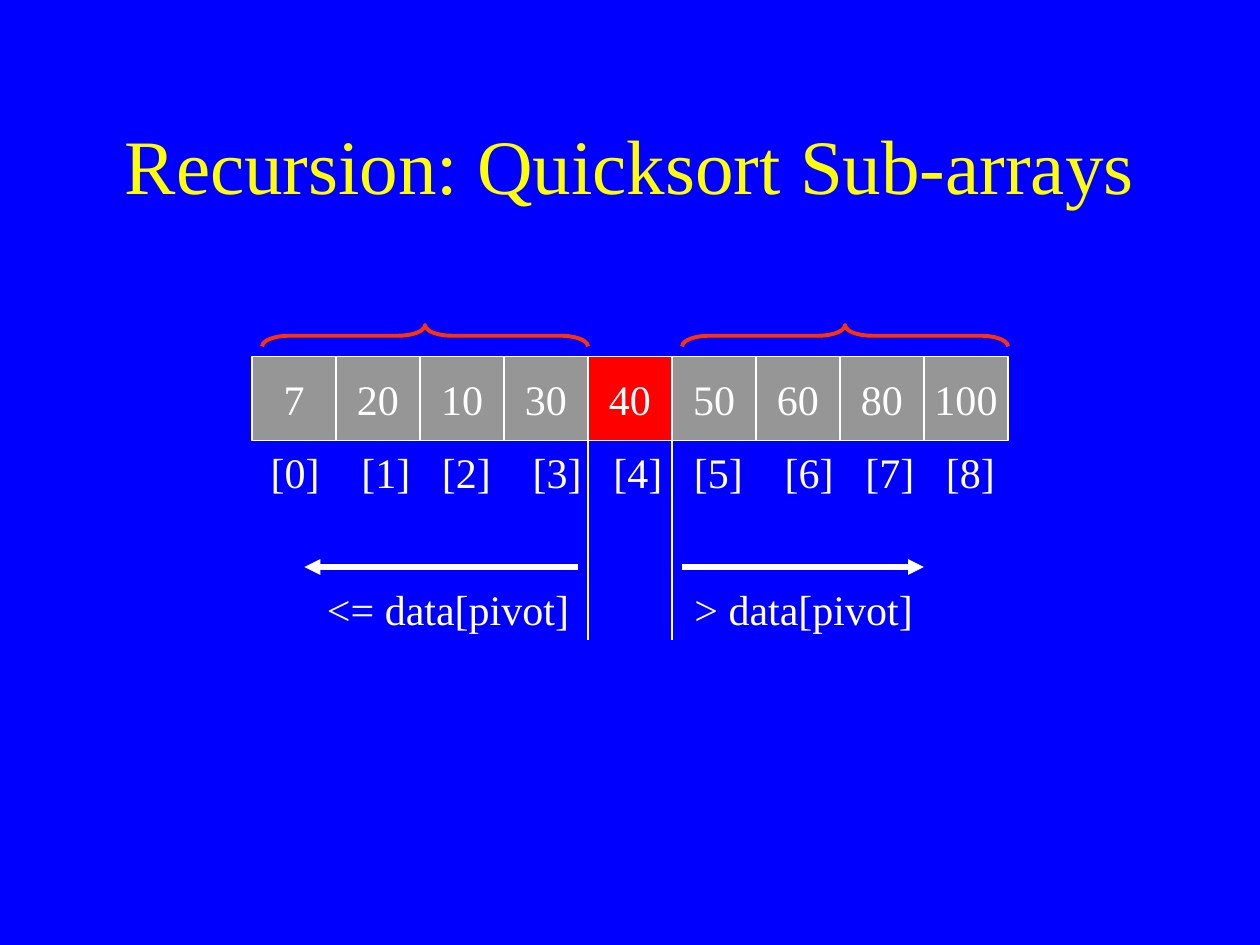
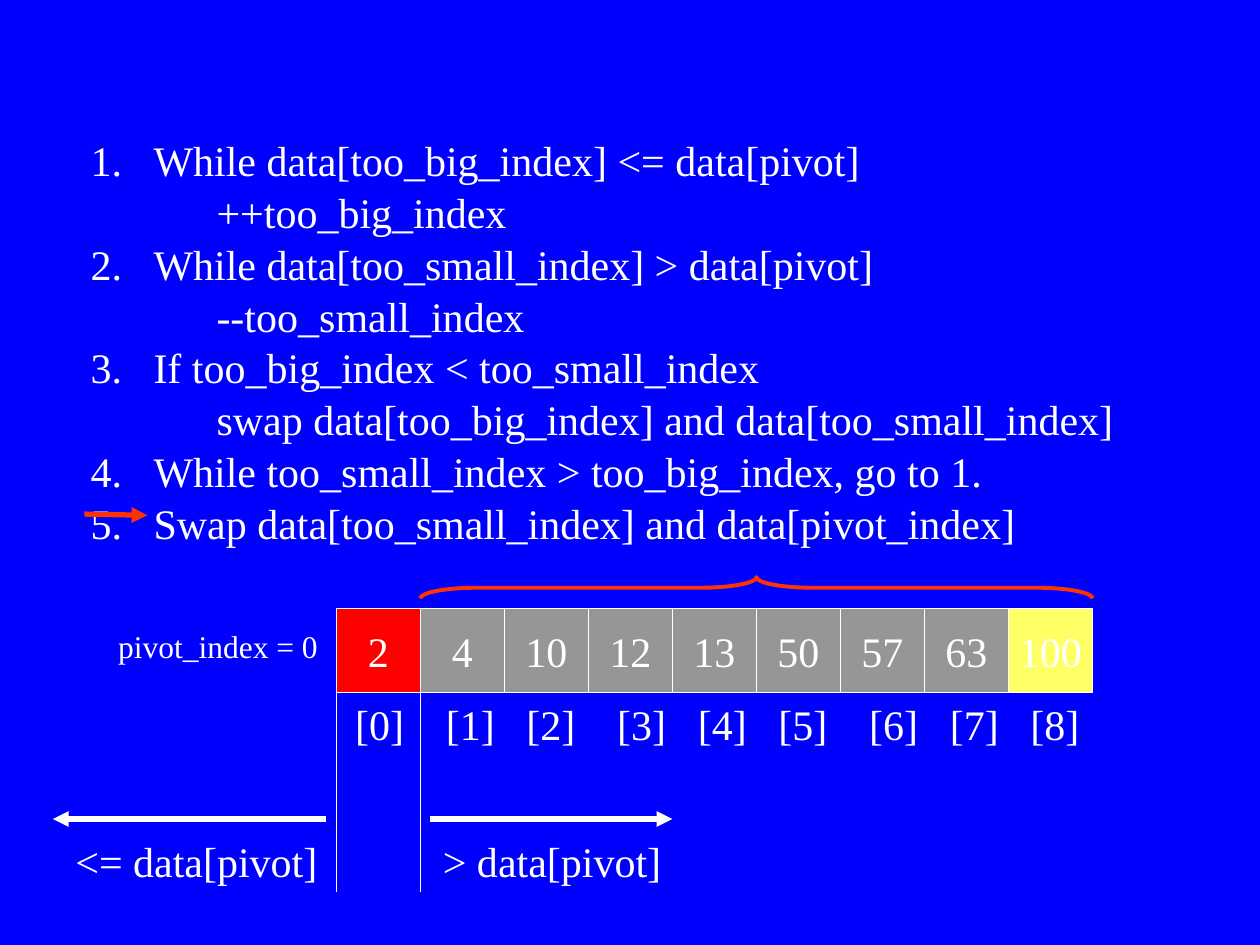
from itertools import accumulate

from pptx import Presentation
from pptx.dml.color import RGBColor
from pptx.enum.shapes import MSO_CONNECTOR as Connector, MSO_SHAPE as Shape
from pptx.enum.text import MSO_ANCHOR as Anchor, PP_ALIGN as Align
from pptx.oxml.ns import qn
from pptx.util import Inches, Pt
from lxml.etree import SubElement

# Content
TITLE = "Recursion: Quicksort Sub-arrays"
STEPS = [
    ("While data[too_big_index] <= data[pivot]", "++too_big_index"),
    ("While data[too_small_index] > data[pivot]", "--too_small_index"),
    ("If too_big_index < too_small_index",
     "swap data[too_big_index] and data[too_small_index]"),
    ("While too_small_index > too_big_index, go to 1.", None),
    ("Swap data[too_small_index] and data[pivot_index]", None),
]
PIVOT_NOTE = "pivot_index = 0"
BELOW_PIVOT, ABOVE_PIVOT = "<= data[pivot]", "> data[pivot]"

# Each brace is (first cell, last cell, inset of its left end)
SORTED_ARRAY = {
    "values": [7, 20, 10, 30, 40, 50, 60, 80, 100],
    "left": 2, "top": 2.83, "pivot": 4, "marked": None,
    "braces": [(0, 3, 0.08), (5, 8, 0.08)],
}
PIVOT_FIRST_ARRAY = {
    "values": [2, 4, 10, 12, 13, 50, 57, 63, 100],
    "left": 2.67, "top": 4.83, "pivot": 0, "marked": 8,
    "braces": [(1, 8, 0)],
}

# Shared look
BLUE, WHITE, YELLOW = "0000FF", "FFFFFF", "FFFF00"
GRAY, RED, PALE_YELLOW, ORANGE = "969696", "FF0000", "FFFF66", "FF3300"
FONT = "Times New Roman"
CELL = 2 / 3
BRACE_DEPTH = 0.17
INDEX_GAPS = [0.72, 0.64, 0.72, 0.64, 0.64, 0.72, 0.64, 0.64]


def rgb(color):
    return RGBColor.from_string(color)


def box(left, top, width, height):
    return [Inches(value) for value in (left, top, width, height)]


def write(paragraph, text, size=24, color=WHITE, align=Align.LEFT):
    layout = {"alignment": align, "space_before": Pt(0.4), "space_after": Pt(0.4)}
    for key, value in layout.items():
        setattr(paragraph, key, value)
    run = paragraph.add_run()
    run.text = text
    for key, value in {"name": FONT, "size": Pt(size)}.items():
        setattr(run.font, key, value)
    run.font.color.rgb = rgb(color)


def add_label(slide, text, place, **style):
    frame = slide.shapes.add_textbox(*box(*place)).text_frame
    frame.word_wrap = False
    write(frame.paragraphs[0], text, **style)
    return frame


def add_line(slide, start, end, color=WHITE, width=0.75, arrow=False):
    points = [Inches(value) for value in (*start, *end)]
    line = slide.shapes.add_connector(Connector.STRAIGHT, *points)
    line.line.color.rgb = rgb(color)
    line.line.width = Pt(width)
    if arrow:
        SubElement(line.line._get_or_add_ln(), qn("a:tailEnd"), type="triangle")
    SubElement(line._element.spPr, qn("a:effectLst"))


def add_cell(slide, value, left, top, fill):
    cell = slide.shapes.add_shape(Shape.RECTANGLE, *box(left, top, CELL, CELL))
    cell.shadow.inherit = False
    cell.fill.solid()
    cell.fill.fore_color.rgb = rgb(fill)
    cell.line.color.rgb = rgb(WHITE)
    cell.line.width = Pt(0.75)
    frame = cell.text_frame
    frame.word_wrap = False
    frame.vertical_anchor = Anchor.MIDDLE
    write(frame.paragraphs[0], str(value), align=Align.CENTER)


def add_brace(slide, left, right, top):
    """A left brace turned a quarter, so that its point faces up."""
    length = right - left
    center_x, center_y = left + length / 2, top + BRACE_DEPTH / 2
    brace = slide.shapes.add_shape(Shape.LEFT_BRACE, *box(
        center_x - BRACE_DEPTH / 2, center_y - length / 2, BRACE_DEPTH, length))
    brace.rotation = 90
    brace.adjustments[0] = length / 12 / BRACE_DEPTH
    brace.shadow.inherit = False
    brace.fill.background()
    brace.line.color.rgb = rgb(ORANGE)
    brace.line.width = Pt(2.25)


def add_indices(slide, count, left, top):
    text = "\t".join(f"[{index}]" for index in range(count))
    frame = add_label(slide, text, (left + 0.05, top + CELL, 6, 0.5))
    tabs = SubElement(frame.paragraphs[0]._p.get_or_add_pPr(), qn("a:tabLst"))
    for stop in accumulate(INDEX_GAPS):
        SubElement(tabs, qn("a:tab"), pos=str(Inches(stop)), algn="l")


def add_array(slide, array):
    left, top, pivot = array["left"], array["top"], array["pivot"]
    fills = {pivot: RED, array["marked"]: PALE_YELLOW}
    edges = [left + CELL * i for i in range(len(array["values"]) + 1)]

    # Cells and their indices
    for index, value in enumerate(array["values"]):
        add_cell(slide, value, edges[index], top, fills.get(index, GRAY))
    add_indices(slide, len(array["values"]), left, top)

    # Pivot borders, with the two sides they part
    before, after = edges[pivot], edges[pivot + 1]
    for x in (before, after):
        add_line(slide, (x, top), (x, top + 2.25))
    arrow_y, label_y = top + 1.67, top + 1.75
    for start, end in ((before - 0.08, before - 2.25), (after + 0.08, after + 2)):
        add_line(slide, (start, arrow_y), (end, arrow_y), width=3, arrow=True)
    add_label(slide, BELOW_PIVOT, (before - 2.17, label_y, 2.17, 0.5))
    add_label(slide, ABOVE_PIVOT, (after + 0.08, label_y, 2, 0.5))

    # Sub-array braces
    for first, last, inset in array["braces"]:
        add_brace(slide, edges[first] + inset, edges[last + 1], top - 0.25)


def add_steps(slide):
    frame = slide.shapes.add_textbox(*box(0.62, 1.02, 9.32, 4.61)).text_frame
    frame.word_wrap = False
    lines = [(text, level) for step in STEPS
             for level, text in enumerate(step) if text]
    for number, (text, level) in enumerate(lines):
        paragraph = frame.add_paragraph() if number else frame.paragraphs[0]
        write(paragraph, text)
        paragraph.level = level
        properties = paragraph._p.get_or_add_pPr()
        properties.set("marL", str(Inches(1 if level else 0.5)))
        properties.set("indent", str(Inches(0 if level else -0.5)))
        if level:
            SubElement(properties, qn("a:buNone"))
        else:
            bullet_color = SubElement(properties, qn("a:buClr"))
            SubElement(bullet_color, qn("a:srgbClr"), val=WHITE)
            SubElement(properties, qn("a:buAutoNum"), type="arabicPeriod")


def add_slide(deck):
    slide = deck.slides.add_slide(deck.slide_layouts[6])
    slide.background.fill.solid()
    slide.background.fill.fore_color.rgb = rgb(BLUE)
    return slide


def main():
    deck = Presentation()
    deck.slide_width, deck.slide_height = Inches(10), Inches(7.5)

    # Sub-arrays on both sides of the pivot
    slide = add_slide(deck)
    title = add_label(slide, TITLE, (0.75, 0.67, 8.5, 1.25),
                      size=44, color=YELLOW, align=Align.CENTER)
    title.word_wrap = True
    title.vertical_anchor = Anchor.MIDDLE
    add_array(slide, SORTED_ARRAY)

    # Partition steps with the pivot in first place
    slide = add_slide(deck)
    add_steps(slide)
    add_line(slide, (0.67, 4.08), (1.17, 4.09), ORANGE, 3, arrow=True)
    add_label(slide, PIVOT_NOTE, (0.84, 4.93, 1.83, 0.4), size=18)
    add_array(slide, PIVOT_FIRST_ARRAY)

    deck.save("out.pptx")


if __name__ == "__main__":
    main()
